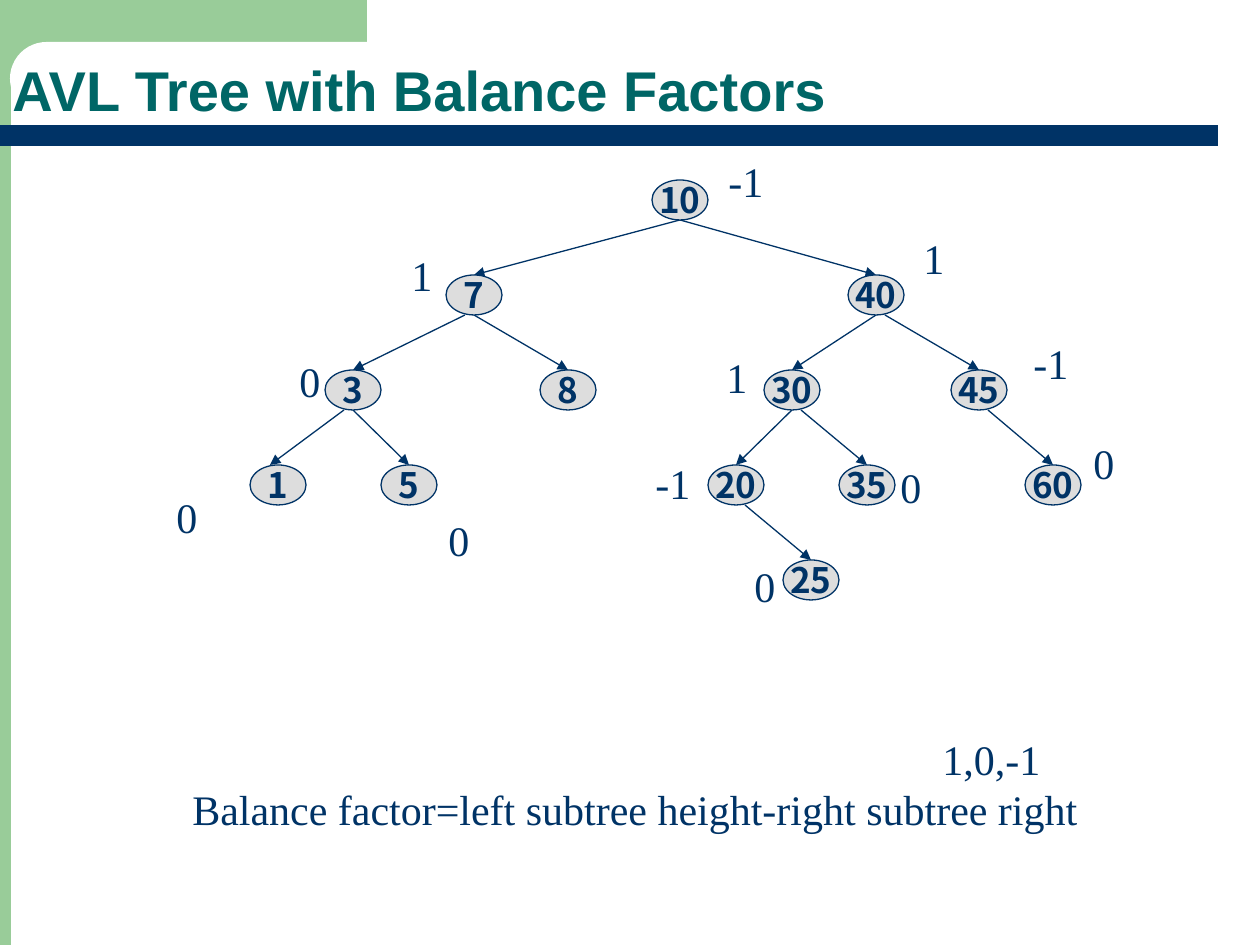
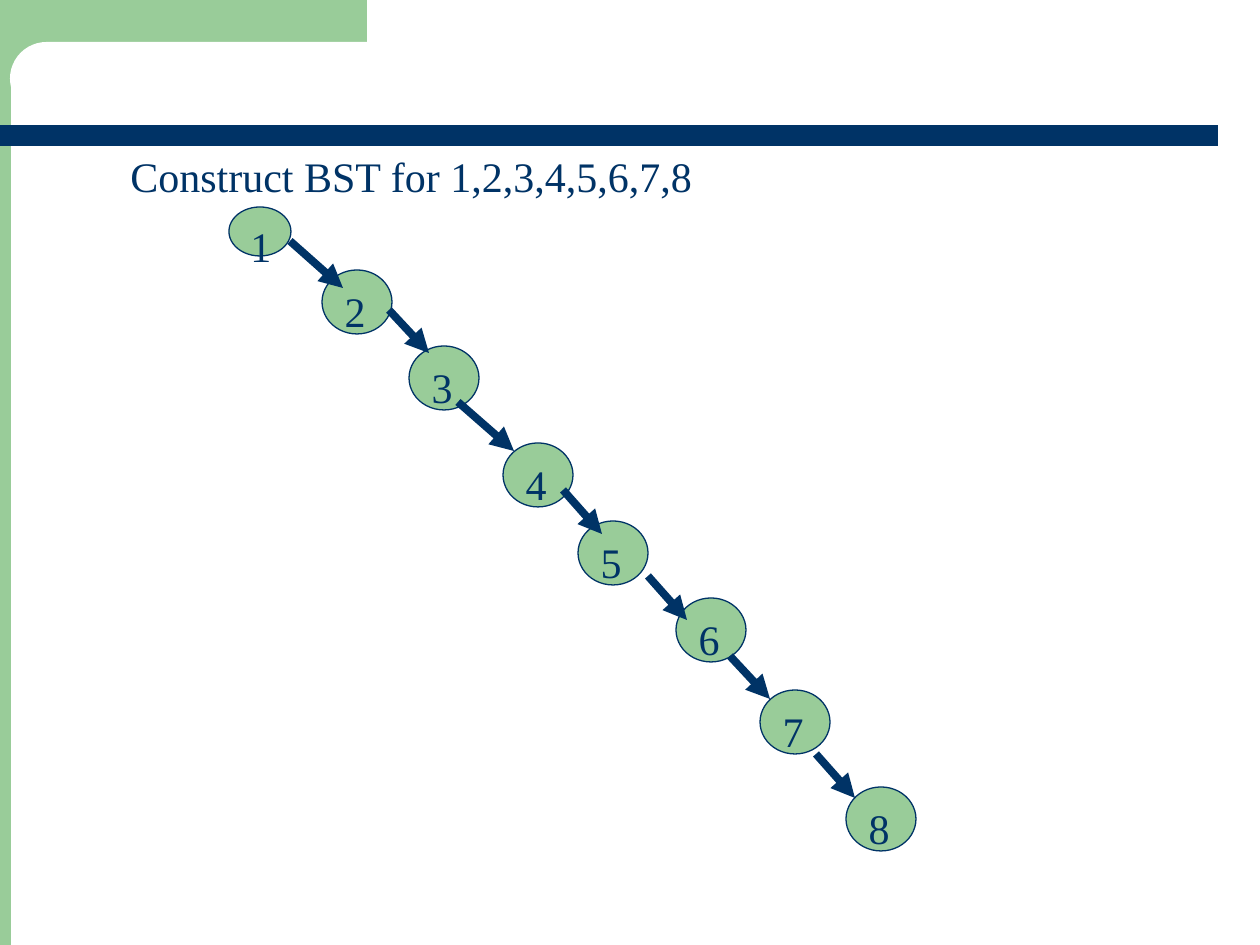
"""Build two slides on search trees: an AVL tree with balance factors and a degenerate BST."""
from lxml import etree
from pptx import Presentation
from pptx.dml.color import RGBColor
from pptx.enum.shapes import MSO_CONNECTOR, MSO_SHAPE
from pptx.enum.text import MSO_ANCHOR, PP_ALIGN
from pptx.oxml.ns import qn
from pptx.util import Pt

OVAL, RECT = MSO_SHAPE.OVAL, MSO_SHAPE.RECTANGLE
ROUNDED, DELAY = MSO_SHAPE.ROUNDED_RECTANGLE, MSO_SHAPE.FLOWCHART_DELAY
STRAIGHT = MSO_CONNECTOR.STRAIGHT
TOP, MIDDLE, BOTTOM = MSO_ANCHOR.TOP, MSO_ANCHOR.MIDDLE, MSO_ANCHOR.BOTTOM
LEFT, CENTER = PP_ALIGN.LEFT, PP_ALIGN.CENTER

PX = 914400 / 126
COLORS = {"navy": "003366", "green": "99CC99", "teal": "006666",
          "gray": "DDDDDD", "white": "FFFFFF"}
SERIF, SANS, NODE_FONT = "Times New Roman", "Arial", "Noto Sans CJK KR"


def put(slide, box, text="", kind=None, fill=None, outline=None, size=24, font=SERIF,
        color="navy", bold=False, align=LEFT, anchor=TOP, wrap=True, spacing=1.0):
    """Place a shape, or a text box when no kind is given, with formatted text."""
    place = [round(value * PX) for value in box]
    if kind is None:
        item = slide.shapes.add_textbox(*place)
    else:
        item = slide.shapes.add_shape(kind, *place)
        item.shadow.inherit = False
        item.fill.solid()
        item.fill.fore_color.rgb = RGBColor.from_string(COLORS[fill])
        if outline:
            item.line.color.rgb = RGBColor.from_string(COLORS[outline])
            item.line.width = Pt(0.75)
        else:
            item.line.fill.background()
    if text:
        frame = item.text_frame
        frame.word_wrap = wrap
        frame.vertical_anchor = anchor
        paragraph = frame.paragraphs[0]
        paragraph.alignment = align
        paragraph.line_spacing = spacing
        run = paragraph.add_run()
        run.text = text
        run.font.name, run.font.size, run.font.bold = font, Pt(size), bold
        run.font.color.rgb = RGBColor.from_string(COLORS[color])
    return item


def add_arrow(slide, ends, width):
    """Draw a navy arrow between two points."""
    arrow = slide.shapes.add_connector(STRAIGHT, *[round(value * PX) for value in ends])
    arrow.line.color.rgb = RGBColor.from_string(COLORS["navy"])
    arrow.line.width = Pt(width)
    etree.SubElement(arrow.line._get_or_add_ln(), qn("a:tailEnd"), type="triangle")
    etree.SubElement(arrow._element.spPr, qn("a:effectLst"))


deck = Presentation()
deck.slide_width, deck.slide_height = round(1260 * PX), round(945 * PX)
avl_slide, bst_slide = [deck.slides.add_slide(deck.slide_layouts[6]) for _ in range(2)]

for slide in (avl_slide, bst_slide):
    put(slide, (-73, 0, 84, 945), kind=RECT, fill="green")
    put(slide, (-21, 0, 388, 73), kind=RECT, fill="green")
    corner = put(slide, (10, 42, 703, 73), kind=ROUNDED, fill="white")
    corner.adjustments[0] = 0.5
    title_rule = put(slide, (33, 125, 1185, 21), kind=ROUNDED, fill="navy")
    title_rule.adjustments[0] = 0
    rule_end = put(slide, (-32, 125, 67, 21), kind=DELAY, fill="navy")
    rule_end.rotation = 180

put(avl_slide, (0, 45, 1103, 85), "AVL Tree with Balance Factors", size=32, font=SANS,
    color="teal", bold=True, anchor=BOTTOM, spacing=0.9)

NODE_W, NODE_H, FIRST_TOP, LEVEL_STEP = 56, 40, 180, 95
levels = [
    {10: 680},
    {7: 474, 40: 876},
    {3: 353, 8: 568, 30: 792, 45: 979},
    {1: 278, 5: 409, 20: 736, 35: 867, 60: 1053},
    {25: 811},
]
node_tops = {}
for depth, level in enumerate(levels):
    for key, center in level.items():
        node_tops[key] = (center, FIRST_TOP + depth * LEVEL_STEP)

branches = [
    (10, 7, 0, 0), (10, 40, 0, 0), (7, 3, -9, 0), (7, 8, 0, 0),
    (40, 30, 0, 0), (3, 1, -9, -8), (3, 5, 0, 0), (30, 20, 0, 0),
    (30, 35, 9, 0), (40, 45, 9, 0), (45, 60, 9, 0), (20, 25, 9, 0),
]
for parent, child, start_shift, end_shift in branches:
    parent_x, parent_y = node_tops[parent]
    child_x, child_y = node_tops[child]
    add_arrow(avl_slide, (parent_x + start_shift, parent_y + NODE_H,
                          child_x + end_shift, child_y), 0.75)

for key, (center, top) in node_tops.items():
    put(avl_slide, (center - NODE_W / 2, top, NODE_W, NODE_H), str(key), kind=OVAL,
        fill="gray", outline="navy", size=20, font=NODE_FONT, bold=True,
        align=CENTER, anchor=MIDDLE, wrap=False)

LINE_H = 63
captions = [
    ("Balance factor=left subtree height-right subtree right", 180, 777, 922),
    ("1,0,-1", 930, 727, 137),
    ("0", 164, 485, 79), ("0", 287, 349, 79), ("-1", 716, 149, 79),
    ("1", 399, 243, 79), ("0", 742, 554, 79), ("-1", 643, 451, 66),
    ("0", 888, 455, 79), ("1", 714, 345, 49), ("0", 1081, 431, 79),
    ("-1", 1021, 331, 79), ("1", 911, 226, 79), ("0", 436, 508, 79),
]
for caption, left, top, width in captions:
    put(avl_slide, (left, top, width, LINE_H), caption)

put(bst_slide, (118, 144, 1081, LINE_H), "Construct BST for 1,2,3,4,5,6,7,8")

chain_nodes = [(229, 207, 62, 49)] + [
    (left, top, 70, 64) for left, top in
    [(322, 270), (409, 346), (503, 443), (578, 521), (676, 598), (760, 690), (846, 787)]
]
for key, box in enumerate(chain_nodes, start=1):
    put(bst_slide, box, str(key), kind=OVAL, fill="green", outline="navy", wrap=False)

chain_links = [
    (290, 241, 343, 288), (389, 310, 429, 353), (458, 402, 514, 451),
    (563, 490, 602, 534), (648, 576, 687, 620), (730, 656, 770, 699),
    (816, 754, 855, 798),
]
for link in chain_links:
    add_arrow(bst_slide, link, 4.5)

deck.save("out.pptx")
